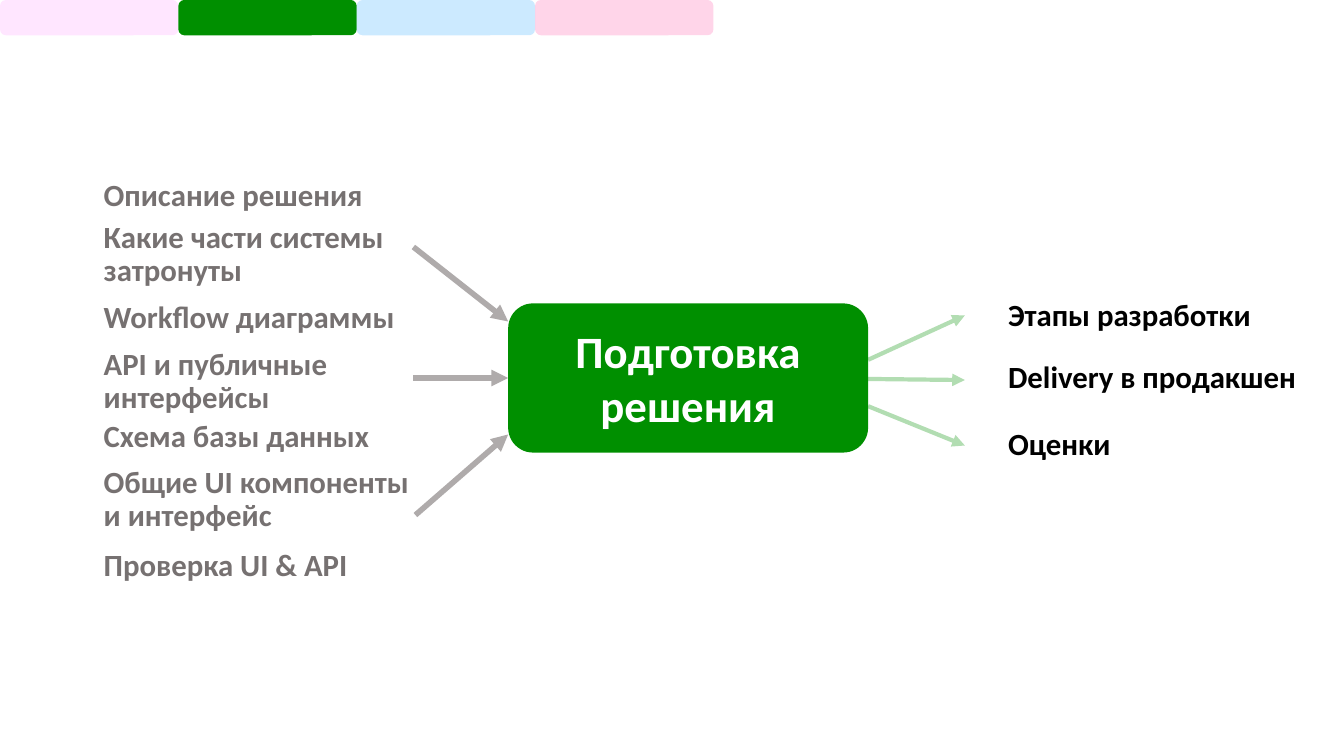
from dataclasses import dataclass

from lxml.etree import SubElement
from pptx import Presentation
from pptx.dml.color import RGBColor
from pptx.enum.shapes import MSO_CONNECTOR, MSO_SHAPE
from pptx.enum.text import MSO_ANCHOR, PP_ALIGN
from pptx.oxml.ns import qn
from pptx.util import Inches, Pt


@dataclass(frozen=True)
class Theme:
    """Hold the colours, the font and the type sizes."""
    font: str = "Calibri"
    green: str = "008F00"
    violet: str = "FF85FF"
    blue: str = "0096FF"
    pink: str = "FF2F92"
    arrow_grey: str = "AFABAB"
    text_grey: str = "767171"
    black: str = "000000"
    white: str = "FFFFFF"
    stage_size: int = 32
    item_size: int = 22


THEME = Theme()
WIDTH, HEIGHT = Inches(13.33), Inches(7.5)
TAB_WIDTH, TAB_HEIGHT = 13.27, 4.67
ITEM_WIDTH = 24.31
INPUT_LEFT, OUTPUT_LEFT = 6.98, 74.27
STAGE_LEFT, STAGE_TOP, STAGE_WIDTH, STAGE_HEIGHT = 37.81, 40.13, 26.78, 19.73

TABS = [(THEME.violet, 20), (THEME.green, 100), (THEME.blue, 20), (THEME.pink, 20)]
INPUTS = [
    (23.2, 4.93, "Описание решения"),
    (28.67, 9.87, "Какие части системы\nзатронуты"),
    (39.33, 5.6, "Workflow диаграммы"),
    (45.47, 9.87, "API и публичные интерфейсы"),
    (55.07, 5.47, "Схема базы данных"),
    (61.07, 9.87, "Общие UI компоненты\nи интерфейс"),
    (72.13, 5.2, "Проверка UI & API"),
]
OUTPUTS = [
    (39.07, 4.93, "Этапы разработки"),
    (47.2, 5.87, "Delivery в продакшен"),
    (56.13, 5.6, "Оценки"),
]
INPUT_ARROWS = [(30.76, 32.67, 42.53), (30.76, 50, 50), (30.91, 68.13, 57.47)]
OUTPUT_ARROWS = [(47.6, 41.73), (50.13, 50.27), (53.73, 58.93)]


def across(percent):
    """Turn a share of the slide's width into a length."""
    return round(WIDTH * percent / 100)


def down(percent):
    """Turn a share of the slide's height into a length."""
    return round(HEIGHT * percent / 100)


def area(left, top, width, height):
    """Turn four shares of the slide into a position and size."""
    return across(left), down(top), across(width), down(height)


def set_opacity(color_format, percent):
    """Make a solid colour partly transparent."""
    if percent < 100:
        color = color_format.fill._xPr.find(qn("a:solidFill"))[0]
        SubElement(color, qn("a:alpha")).set("val", str(percent * 1000))


def write(paragraph, wording, size, color):
    """Add bold wording to a paragraph, one run per line."""
    for number, line in enumerate(wording.split("\n")):
        if number:
            paragraph.add_line_break()
        run = paragraph.add_run()
        run.text = line
        run.font.name = THEME.font
        run.font.size = Pt(size)
        run.font.bold = True
        run.font.color.rgb = RGBColor.from_string(color)


def add_block(slide, place, color, opacity=100):
    """Add a rounded block without an outline."""
    block = slide.shapes.add_shape(MSO_SHAPE.ROUNDED_RECTANGLE, *area(*place))
    block.shadow.inherit = False
    block.fill.solid()
    block.fill.fore_color.rgb = RGBColor.from_string(color)
    set_opacity(block, opacity)
    block.line.fill.background()
    return block


def add_stage(slide, wording):
    """Add the central stage with its title."""
    place = STAGE_LEFT, STAGE_TOP, STAGE_WIDTH, STAGE_HEIGHT
    frame = add_block(slide, place, THEME.green).text_frame
    frame.word_wrap = True
    frame.vertical_anchor = MSO_ANCHOR.MIDDLE
    title = frame.paragraphs[0]
    title.alignment = PP_ALIGN.CENTER
    write(title, wording, THEME.stage_size, THEME.white)


def add_items(slide, left, items, color):
    """Add a column of labels."""
    for top, height, wording in items:
        place = area(left, top, ITEM_WIDTH, height)
        frame = slide.shapes.add_textbox(*place).text_frame
        frame.word_wrap = True
        label = frame.paragraphs[0]
        label.line_spacing = 0.9
        label.space_after = Pt(6)
        write(label, wording, THEME.item_size, color)


def add_arrow(slide, start, end, color, weight, opacity=100):
    """Add a straight arrow between two points."""
    arrow = slide.shapes.add_connector(
        MSO_CONNECTOR.STRAIGHT,
        across(start[0]), down(start[1]), across(end[0]), down(end[1]),
    )
    arrow.line.width = Pt(weight)
    arrow.line.color.rgb = RGBColor.from_string(color)
    properties = arrow._element.spPr
    outline = properties.find(qn("a:ln"))
    if opacity < 100:
        tint = outline.find(qn("a:solidFill"))[0]
        SubElement(tint, qn("a:alpha")).set("val", str(opacity * 1000))
    SubElement(outline, qn("a:tailEnd")).set("type", "triangle")
    SubElement(properties, qn("a:effectLst"))


def set_opacity(block, percent):
    """Make a block's fill partly transparent."""
    if percent < 100:
        tint = block._element.spPr.find(qn("a:solidFill"))[0]
        SubElement(tint, qn("a:alpha")).set("val", str(percent * 1000))


def main():
    """Build and save the slide."""
    deck = Presentation()
    deck.slide_width, deck.slide_height = WIDTH, HEIGHT
    slide = deck.slides.add_slide(deck.slide_layouts[6])
    add_stage(slide, "Подготовка решения")
    for left, start, end in INPUT_ARROWS:
        add_arrow(slide, (left, start), (STAGE_LEFT, end), THEME.arrow_grey, 4)
    for number, (color, opacity) in enumerate(TABS):
        place = number * TAB_WIDTH, 0, TAB_WIDTH, TAB_HEIGHT
        add_block(slide, place, color, opacity)
    add_items(slide, OUTPUT_LEFT, OUTPUTS, THEME.black)
    for start, end in OUTPUT_ARROWS:
        stage_right = STAGE_LEFT + STAGE_WIDTH
        add_arrow(slide, (stage_right, start), (71.79, end), THEME.green, 3, 30)
    add_items(slide, INPUT_LEFT, INPUTS, THEME.text_grey)
    deck.save("out.pptx")


if __name__ == "__main__":
    main()
